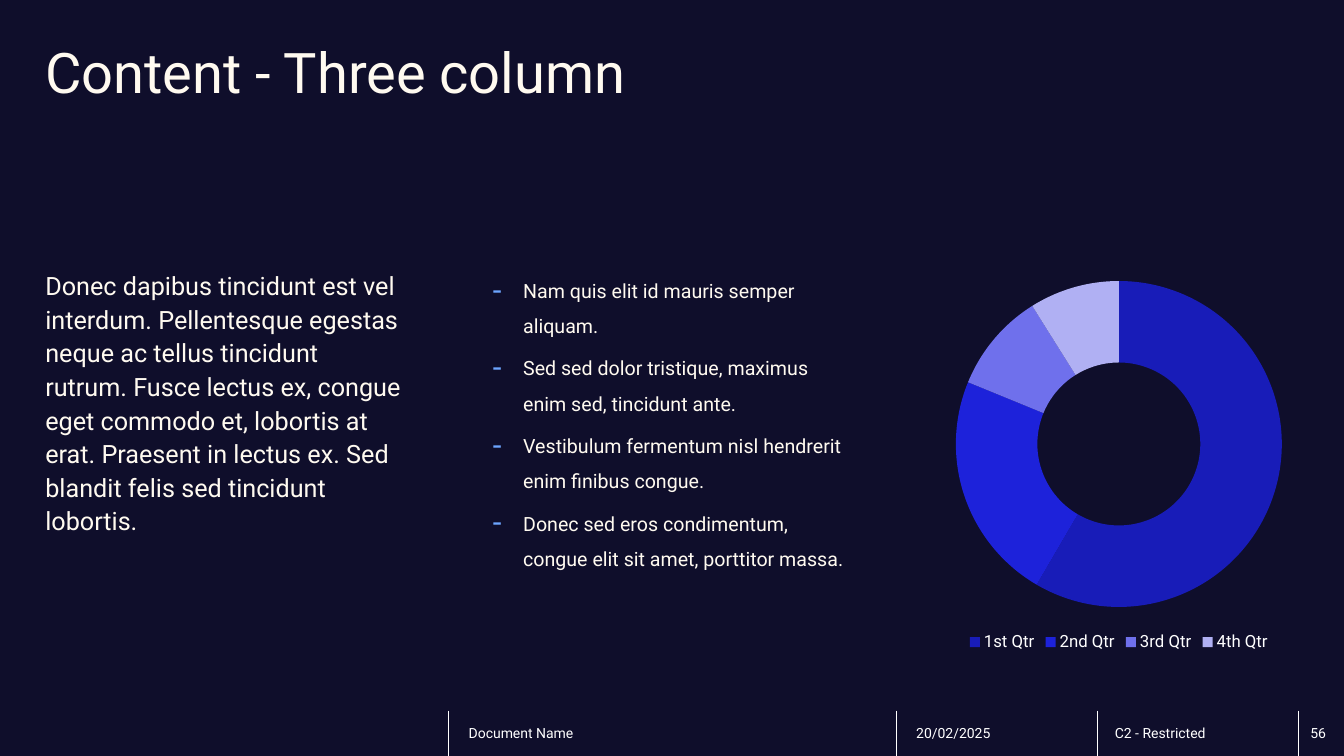
from lxml import etree
from pptx import Presentation
from pptx import util as u
from pptx.chart import data
from pptx.dml import color
from pptx.enum import chart as charts, shapes, text
from pptx.oxml import ns

NAVY = color.RGBColor(0x0F, 0x0E, 0x2B)
CREAM = color.RGBColor(0xFF, 0xFA, 0xF0)
WHITE = color.RGBColor(0xFF, 0xFF, 0xFF)
SKY = color.RGBColor(0x6D, 0xA5, 0xFF)
QUARTER_COLORS = [
    color.RGBColor(0x18, 0x1C, 0xB8),
    color.RGBColor(0x1D, 0x22, 0xDA),
    color.RGBColor(0x6F, 0x70, 0xEC),
    color.RGBColor(0xB0, 0xB0, 0xF3),
]
FONT = "Roboto"
MARGIN = 32.4
COLUMN_TOP, COLUMN_WIDTH, COLUMN_HEIGHT = 190.8, 254.88, 277.92
COLUMN_STEP = 319.68
FOOTER_TOP, SLIDE_BOTTOM = 507.6, 540

INTRO = (
    "Donec dapibus tincidunt est vel interdum. Pellentesque egestas neque ac "
    "tellus tincidunt rutrum. Fusce lectus ex, congue eget commodo et, lobortis "
    "at erat. Praesent in lectus ex. Sed blandit felis sed tincidunt lobortis."
)
POINTS = [
    "Nam quis elit id mauris semper aliquam.",
    "Sed sed dolor tristique, maximus enim sed, tincidunt ante.",
    "Vestibulum fermentum nisl hendrerit enim finibus congue.",
    "Donec sed eros condimentum, congue elit sit amet, porttitor massa.",
]
QUARTERS = {"1st Qtr": 59, "2nd Qtr": 23, "3rd Qtr": 10, "4th Qtr": 9}
FOOTER = [
    ("Document Name", 320.4, 319.68, 14.4),
    ("20/02/2025", 640.08, 144, 14.4),
    ("C2 - Restricted", 784.08, 143.28, 12.24),
    ("56", 927.36, 32.4, 8.64),
]


def add_bullet(paragraph, character="-", indent=21.6, percent=160):
    properties = paragraph._p.get_or_add_pPr()
    properties.set("marL", str(u.Pt(indent)))
    properties.set("indent", str(-u.Pt(indent)))
    bullet_color = etree.SubElement(properties, ns.qn("a:buClr"))
    etree.SubElement(bullet_color, ns.qn("a:srgbClr"), val=str(SKY))
    etree.SubElement(properties, ns.qn("a:buSzPct"), val=str(percent * 1000))
    etree.SubElement(properties, ns.qn("a:buFont"), typeface=FONT)
    etree.SubElement(properties, ns.qn("a:buChar"), char=character)


def write(paragraph, words, size=14, ink=CREAM, spacing=None, before=None, bullet=False):
    if bullet:
        add_bullet(paragraph)
    if spacing is not None:
        paragraph.line_spacing = spacing
    if before is not None:
        paragraph.space_before = u.Pt(before)
    run = paragraph.add_run()
    run.text = words
    run.font.name = FONT
    run.font.size = u.Pt(size)
    run.font.color.rgb = ink


class SlideBuilder:
    def __init__(self, slide):
        self.slide = slide
        slide.background.fill.solid()
        slide.background.fill.fore_color.rgb = NAVY

    def text(self, lines, left, top, width, height, inset=0,
             anchor=text.MSO_ANCHOR.TOP, before=None, **style):
        shape = self.slide.shapes.add_textbox(u.Pt(left), u.Pt(top), u.Pt(width), u.Pt(height))
        frame = shape.text_frame
        frame.word_wrap = True
        frame.vertical_anchor = anchor
        frame.margin_left = u.Pt(inset)
        frame.margin_right = frame.margin_top = frame.margin_bottom = 0
        for number, line in enumerate(lines):
            paragraph = frame.add_paragraph() if number else frame.paragraphs[0]
            write(paragraph, line, before=before if number else None, **style)

    def divider(self, left):
        connector = self.slide.shapes.add_connector(
            shapes.MSO_CONNECTOR.STRAIGHT,
            u.Pt(left), u.Pt(FOOTER_TOP), u.Pt(left), u.Pt(SLIDE_BOTTOM))
        connector.line.color.rgb = WHITE
        connector.line.width = u.Pt(0.75)
        etree.SubElement(connector._element.spPr, ns.qn("a:effectLst"))

    def doughnut(self, values, colors, left, top, width, height):
        chart_data = data.CategoryChartData()
        chart_data.categories = list(values)
        chart_data.add_series("Series 1", list(values.values()))
        chart = self.slide.shapes.add_chart(
            charts.XL_CHART_TYPE.DOUGHNUT,
            u.Pt(left), u.Pt(top), u.Pt(width), u.Pt(height), chart_data).chart
        chart.has_title = False
        chart.has_legend = True
        chart.legend.position = charts.XL_LEGEND_POSITION.BOTTOM
        chart.legend.include_in_layout = False
        for font, size in ((chart.font, 10), (chart.legend.font, 12)):
            font.name = FONT
            font.size = u.Pt(size)
            font.color.rgb = WHITE
        plot = chart.plots[0]
        plot.vary_by_categories = True
        for number, fill_color in enumerate(colors):
            point = plot.series[0].points[number]
            point.format.fill.solid()
            point.format.fill.fore_color.rgb = fill_color
            point.format.line.fill.background()
        chart._chartSpace.find(".//" + ns.qn("c:holeSize")).set("val", "75")


def main():
    presentation = Presentation()
    presentation.slide_width = u.Pt(960)
    presentation.slide_height = u.Pt(540)
    builder = SlideBuilder(presentation.slides.add_slide(presentation.slide_layouts[6]))

    builder.text(["Content - Three column"], MARGIN, MARGIN, 894.24, 118.8,
                 size=40, spacing=0.9)

    intro_left, points_left, chart_left = (MARGIN + COLUMN_STEP * i for i in range(3))
    column = (COLUMN_TOP, COLUMN_WIDTH, COLUMN_HEIGHT)
    builder.text([INTRO], intro_left, *column, size=18, spacing=u.Pt(24))
    builder.text(POINTS, points_left, *column, spacing=1.5, before=5, bullet=True)
    builder.doughnut(QUARTERS, QUARTER_COLORS, chart_left, *column)

    for label, left, width, inset in FOOTER:
        builder.divider(left)
        builder.text([label], left, FOOTER_TOP, width, SLIDE_BOTTOM - FOOTER_TOP,
                     inset=inset, anchor=text.MSO_ANCHOR.MIDDLE, size=10, ink=WHITE)

    presentation.save("out.pptx")


if __name__ == "__main__":
    main()
